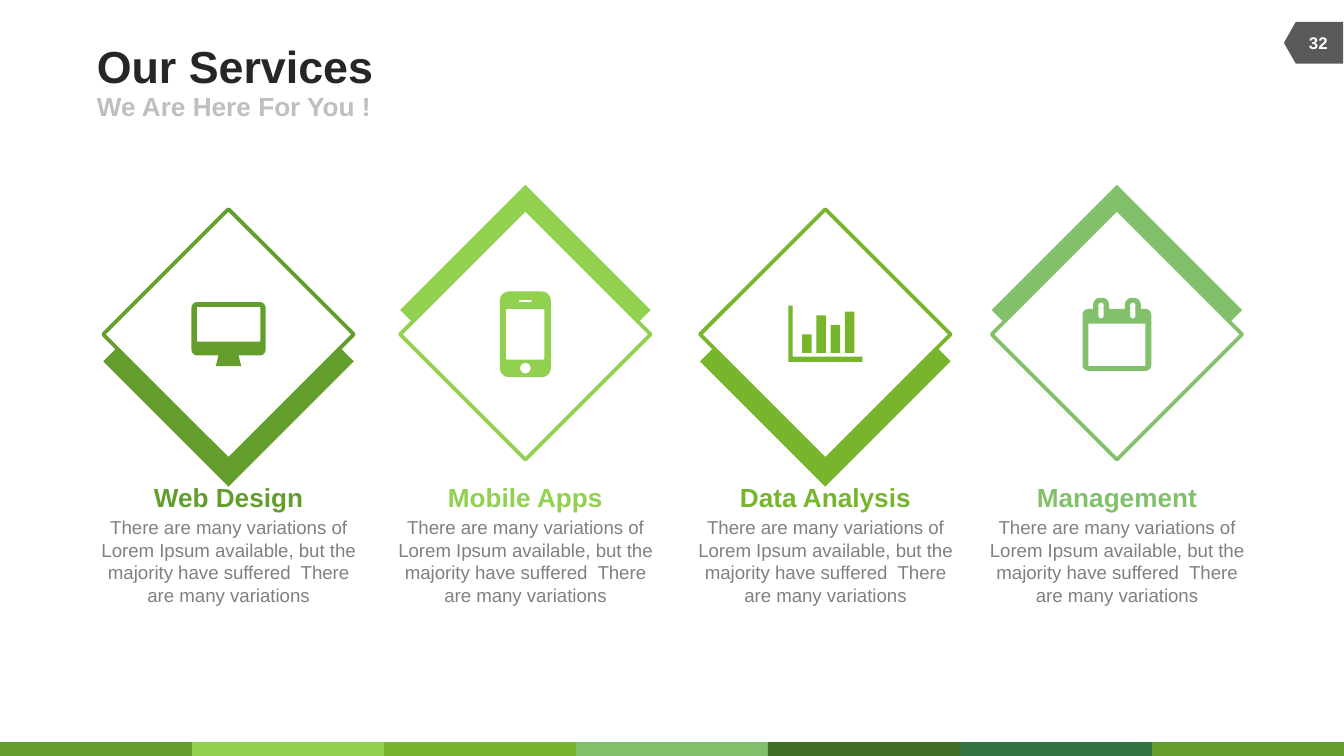
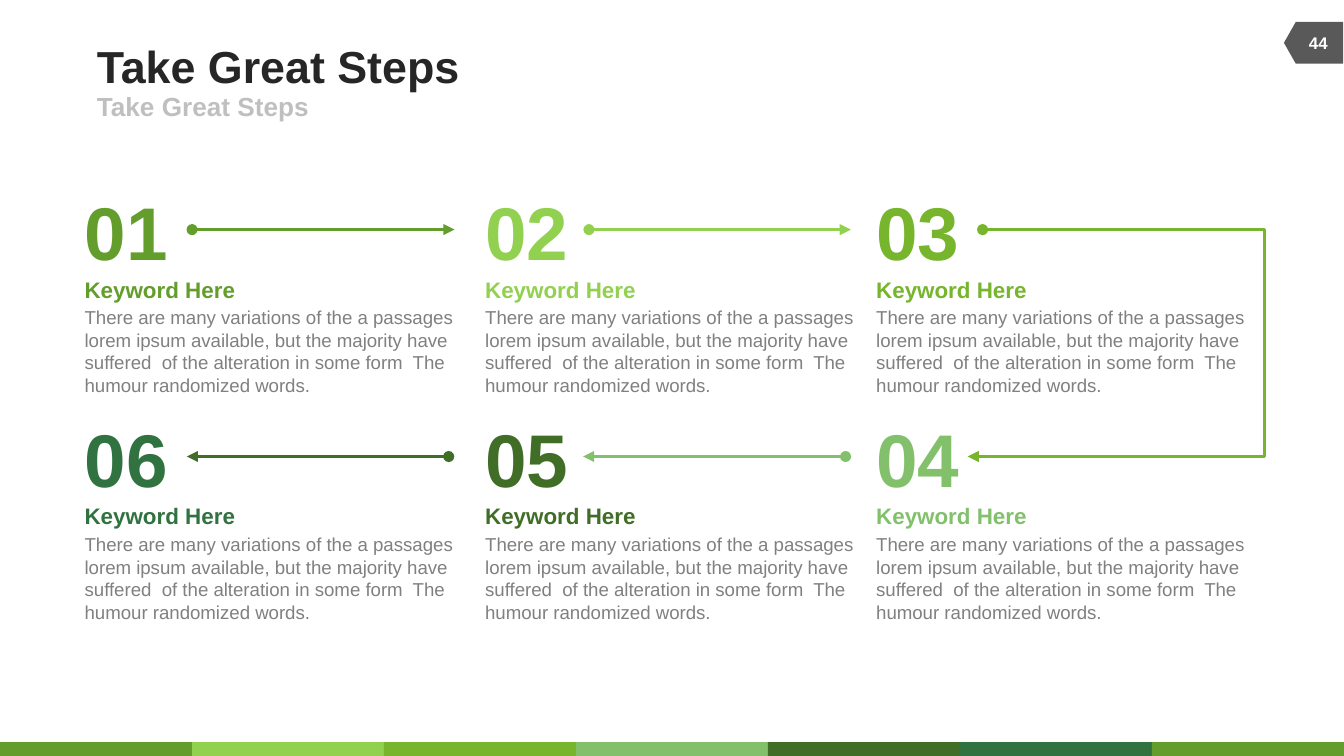
import math
from dataclasses import dataclass
from typing import NamedTuple

from lxml import etree
from pptx import Presentation
from pptx.dml.color import RGBColor
from pptx.enum.shapes import MSO_CONNECTOR, MSO_SHAPE
from pptx.enum.text import MSO_ANCHOR, PP_ALIGN
from pptx.oxml.ns import qn
from pptx.util import Cm, Pt

RECTANGLE = MSO_SHAPE.RECTANGLE
PAGE_TAG = MSO_SHAPE.FLOWCHART_OFFPAGE_CONNECTOR
STRAIGHT, ELBOW = MSO_CONNECTOR.STRAIGHT, MSO_CONNECTOR.ELBOW
LEFT, CENTER = PP_ALIGN.LEFT, PP_ALIGN.CENTER
TOP, MIDDLE = MSO_ANCHOR.TOP, MSO_ANCHOR.MIDDLE


@dataclass(frozen=True)
class Theme:
    font: str = "Arial"
    leaf: str = "639D2C"
    lime: str = "92D050"
    grass: str = "77B52D"
    sage: str = "82C06C"
    moss: str = "406E26"
    pine: str = "307240"
    white: str = "FFFFFF"
    tag: str = "595959"
    title: str = "262626"
    subtitle: str = "BFBFBF"
    body: str = "808080"
    title_size: float = 24
    heading_size: float = 14
    keyword_size: float = 12
    body_size: float = 10
    page_size: float = 9
    number_size: float = 40
    frame_line: float = 2
    arrow_line: float = 1.5


THEME = Theme()
SLIDE_WIDTH, SLIDE_HEIGHT = 25.4, 14.29
BAND_COLORS = (THEME.leaf, THEME.lime, THEME.grass, THEME.sage,
               THEME.moss, THEME.pine, THEME.leaf)
BAND_HEIGHT = 0.26

Point = tuple[float, float]
Contour = list[Point]


class Box(NamedTuple):
    left: float
    top: float
    width: float
    height: float

    def lengths(self) -> tuple:
        return tuple(Cm(value) for value in self)


class Line(NamedTuple):
    text: str
    size: float
    color: str
    bold: bool = True
    space_before: float = 0


class Service(NamedTuple):
    name: str
    color: str
    center: float
    back_shift: float
    icon: list[Contour]


class Step(NamedTuple):
    number: str
    color: str
    column: int
    row: int


class Arrow(NamedTuple):
    color: str
    start: float
    end: float
    row: int
    pointed: bool = True


def box_contour(left: float, top: float, right: float, bottom: float,
                top_radius: float = 0, bottom_radius: float = 0) -> Contour:
    corners = ((right, top, -1, 1, top_radius, 270),
               (right, bottom, -1, -1, bottom_radius, 0),
               (left, bottom, 1, -1, bottom_radius, 90),
               (left, top, 1, 1, top_radius, 180))
    points = []
    for x, y, inward_x, inward_y, radius, first_angle in corners:
        for step in range(7 if radius else 1):
            angle = math.radians(first_angle + 15 * step)
            points.append((x + radius * (inward_x + math.cos(angle)),
                           y + radius * (inward_y + math.sin(angle))))
    return points


def monitor_icon() -> list[Contour]:
    stand = [(-0.19, 0.4), (0.19, 0.4), (0.24, 0.6), (-0.24, 0.6)]
    return [box_contour(-0.7, -0.61, 0.7, 0.4, 0.11, 0.11),
            box_contour(-0.6, -0.52, 0.6, 0.14, 0.02, 0.02), stand]


def phone_icon() -> list[Contour]:
    return [box_contour(-0.48, -0.81, 0.48, 0.81, 0.17, 0.17),
            box_contour(-0.37, -0.48, 0.36, 0.48, 0.03, 0.03),
            box_contour(-0.12, -0.65, 0.12, -0.61, 0.02, 0.02),
            box_contour(-0.1, 0.54, 0.1, 0.74, 0.1, 0.1)]


def chart_icon() -> list[Contour]:
    axes = [(-0.7, -0.54), (-0.62, -0.54), (-0.62, 0.42),
            (0.7, 0.42), (0.7, 0.52), (-0.7, 0.52)]
    bars = [box_contour(-0.44 + 0.27 * index, top, -0.26 + 0.27 * index, 0.35)
            for index, top in enumerate((0, -0.36, -0.18, -0.43))]
    return [axes, *bars]


def calendar_icon() -> list[Contour]:
    contours = [box_contour(-0.65, -0.48, 0.65, 0.69, 0.11, 0.11),
                box_contour(-0.54, -0.2, 0.54, 0.6)]
    for center in (-0.3, 0.3):
        contours.append(box_contour(center - 0.15, -0.69, center + 0.15, -0.48, 0.13))
        contours.append(box_contour(center - 0.05, -0.6, center + 0.05, -0.3, 0.05, 0.05))
    return contours


SERVICE_TEXT = ("There are many variations of Lorem Ipsum available, but the "
                "majority have suffered  There are many variations")
SERVICES = (
    Service("Web Design", THEME.leaf, 4.32, 0.51, monitor_icon()),
    Service("Mobile Apps", THEME.lime, 9.93, -0.46, phone_icon()),
    Service("Data Analysis", THEME.grass, 15.6, 0.51, chart_icon()),
    Service("Management", THEME.sage, 21.11, -0.46, calendar_icon()),
)
DIAMOND_MIDDLE = 6.32
DIAMOND_SIDE = 3.35

STEP_TEXT = ("There are many variations of the a passages lorem ipsum available, but "
             "the majority have suffered  of the alteration in some form  The "
             "humour randomized words.")
STEPS = (
    Step("01", THEME.leaf, 0, 0),
    Step("02", THEME.lime, 1, 0),
    Step("03", THEME.grass, 2, 0),
    Step("04", THEME.sage, 2, 1),
    Step("05", THEME.moss, 1, 1),
    Step("06", THEME.pine, 0, 1),
)
ARROWS = (
    Arrow(THEME.leaf, 3.63, 8.59, 0),
    Arrow(THEME.lime, 11.13, 16.08, 0),
    Arrow(THEME.grass, 18.57, 23.52, 0, pointed=False),
    Arrow(THEME.sage, 15.98, 11.02, 1),
    Arrow(THEME.moss, 8.48, 3.53, 1),
)
STEP_COLUMNS = (1.6, 9.17, 16.56)
STEP_TOP = 3.51
STEP_PITCH = 4.29
ARROW_TOP = 4.34


def paint(shape, fill: str, line: str | None = None) -> None:
    shape.shadow.inherit = False
    shape.fill.solid()
    shape.fill.fore_color.rgb = RGBColor.from_string(fill)
    if line:
        shape.line.color.rgb = RGBColor.from_string(line)
        shape.line.width = Pt(THEME.frame_line)
    else:
        shape.line.fill.background()


def add_block(slide, kind, box: Box, fill: str, line: str | None = None,
              rotation: float = 0) -> None:
    shape = slide.shapes.add_shape(kind, *box.lengths())
    shape.rotation = rotation
    paint(shape, fill, line)


def add_text(slide, box: Box, lines: list[Line], align=LEFT, anchor=TOP,
             padded: bool = False, wrap: bool = True) -> None:
    frame = slide.shapes.add_textbox(*box.lengths()).text_frame
    frame.word_wrap = wrap
    frame.vertical_anchor = anchor
    if not padded:
        frame.margin_left = frame.margin_right = 0
        frame.margin_top = frame.margin_bottom = 0
    frame.text = "\n".join(line.text for line in lines)
    for paragraph, line in zip(frame.paragraphs, lines):
        paragraph.alignment = align
        if line.space_before:
            paragraph.space_before = Pt(line.space_before)
        for run in paragraph.runs:
            run.font.name = THEME.font
            run.font.size = Pt(line.size)
            run.font.bold = line.bold
            run.font.color.rgb = RGBColor.from_string(line.color)


def add_icon(slide, center: Point, contours: list[Contour], color: str) -> None:
    builder = None
    for contour in contours:
        points = [(Cm(center[0] + x), Cm(center[1] + y)) for x, y in contour]
        if builder is None:
            builder = slide.shapes.build_freeform(*points[0], scale=1.0)
        else:
            builder.move_to(*points[0])
        builder.add_line_segments(points[1:], close=True)
    paint(builder.convert_to_shape(), color)


def add_arrow(slide, kind, start: Point, end: Point, color: str,
              dotted: bool = True, pointed: bool = True):
    connector = slide.shapes.add_connector(
        kind, *(Cm(value) for value in (*start, *end)))
    connector.line.color.rgb = RGBColor.from_string(color)
    connector.line.width = Pt(THEME.arrow_line)
    properties = connector.element.spPr
    outline = properties.find(qn("a:ln"))
    if dotted:
        etree.SubElement(outline, qn("a:headEnd"), type="oval")
    if pointed:
        etree.SubElement(outline, qn("a:tailEnd"), type="triangle")
    etree.SubElement(properties, qn("a:effectLst"))
    return connector


def add_base_slide(presentation, title: str, subtitle: str, page: str):
    slide = presentation.slides.add_slide(presentation.slide_layouts[6])
    band_width = SLIDE_WIDTH / len(BAND_COLORS)
    for index, color in enumerate(BAND_COLORS):
        band = Box(index * band_width, SLIDE_HEIGHT - BAND_HEIGHT, band_width, BAND_HEIGHT)
        add_block(slide, RECTANGLE, band, color)
    add_block(slide, PAGE_TAG, Box(24.43, 0.25, 0.79, 1.12), THEME.tag, rotation=90)
    add_text(slide, Box(1.83, 0.74, 15.67, 0.99),
             [Line(title, THEME.title_size, THEME.title)], anchor=MIDDLE)
    add_text(slide, Box(1.83, 1.73, 11.43, 0.56),
             [Line(subtitle, THEME.heading_size, THEME.subtitle)], anchor=MIDDLE)
    add_text(slide, Box(24.38, 0.43, 1.07, 0.76),
             [Line(page, THEME.page_size, THEME.white)], CENTER, MIDDLE, padded=True)
    return slide


def add_service(slide, service: Service) -> None:
    left = service.center - DIAMOND_SIDE / 2
    top = DIAMOND_MIDDLE - DIAMOND_SIDE / 2
    back = Box(left, top + service.back_shift, DIAMOND_SIDE, DIAMOND_SIDE)
    front = Box(left, top, DIAMOND_SIDE, DIAMOND_SIDE)
    add_block(slide, RECTANGLE, back, service.color, rotation=315)
    add_text(slide, Box(service.center - 2.75, 8.97, 5.5, 2.64),
             [Line(service.name, THEME.heading_size, service.color),
              Line(SERVICE_TEXT, THEME.body_size, THEME.body, False, 2)],
             CENTER, padded=True)
    add_block(slide, RECTANGLE, front, THEME.white, service.color, rotation=315)
    add_icon(slide, (service.center, DIAMOND_MIDDLE), service.icon, service.color)


def add_step(slide, step: Step) -> None:
    left = STEP_COLUMNS[step.column]
    top = STEP_TOP + step.row * STEP_PITCH
    add_text(slide, Box(left, top, 1.57, 1.7),
             [Line(step.number, THEME.number_size, step.color)], CENTER, wrap=False)
    add_text(slide, Box(left, top + 2.28, 6.96, 1.7),
             [Line(STEP_TEXT, THEME.body_size, THEME.body, False)])
    add_text(slide, Box(left, top + 1.7, 2.87, 0.51),
             [Line("Keyword Here", THEME.keyword_size, step.color)],
             anchor=MIDDLE, wrap=False)


def add_turn(slide) -> None:
    connector = add_arrow(slide, ELBOW, (23.52, ARROW_TOP),
                          (18.29, ARROW_TOP + STEP_PITCH), THEME.grass, dotted=False)
    geometry = connector.element.spPr.find(qn("a:prstGeom"))
    adjustments = geometry.find(qn("a:avLst"))
    if adjustments is None:
        adjustments = etree.SubElement(geometry, qn("a:avLst"))
    etree.SubElement(adjustments, qn("a:gd"), name="adj1", fmla="val -7200")


def main() -> None:
    presentation = Presentation()
    presentation.slide_width = Cm(SLIDE_WIDTH)
    presentation.slide_height = Cm(SLIDE_HEIGHT)

    services_slide = add_base_slide(presentation, "Our Services", "We Are Here For You !", "32")
    for service in SERVICES:
        add_service(services_slide, service)

    steps_slide = add_base_slide(presentation, "Take Great Steps", "Take Great Steps", "44")
    for step in STEPS:
        add_step(steps_slide, step)
    for arrow in ARROWS:
        height = ARROW_TOP + arrow.row * STEP_PITCH
        add_arrow(steps_slide, STRAIGHT, (arrow.start, height), (arrow.end, height),
                  arrow.color, pointed=arrow.pointed)
    add_turn(steps_slide)

    presentation.save("out.pptx")


if __name__ == "__main__":
    main()
